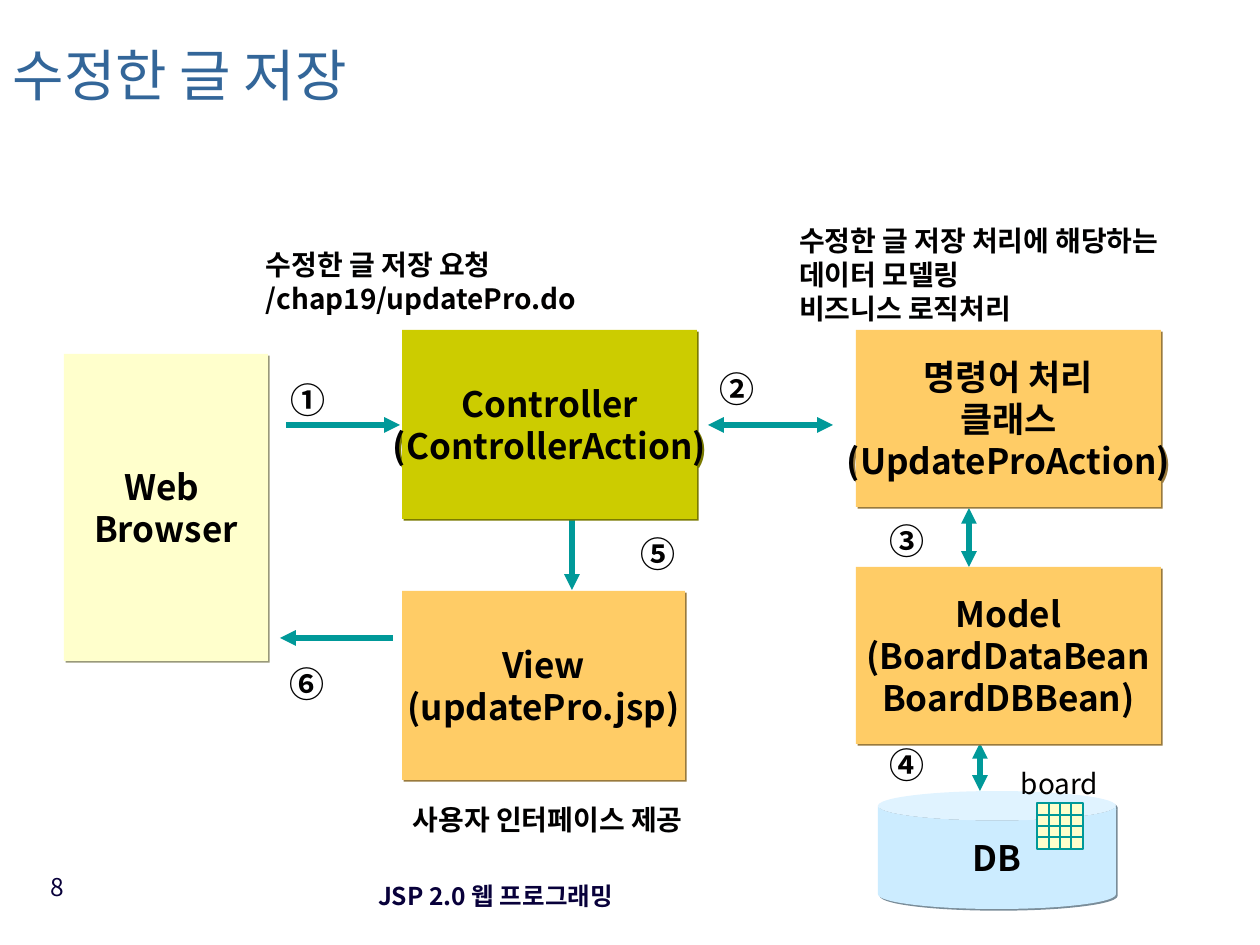
from lxml import etree
from pptx import Presentation
from pptx import util as u
from pptx.dml.color import RGBColor
from pptx.enum import shapes, text
from pptx.oxml import ns

SCALE = 914400 / 126
FONT = "Noto Sans CJK KR"
BLACK = RGBColor(0x01, 0x00, 0x00)
NAVY = RGBColor(0x08, 0x00, 0x3A)
BLUE = RGBColor(0x33, 0x66, 0x99)
TEAL = RGBColor(0x00, 0x99, 0x99)
CREAM = RGBColor(0xFF, 0xFF, 0xCC)
ORANGE = RGBColor(0xFF, 0xCC, 0x66)
OLIVE = RGBColor(0xCC, 0xCC, 0x00)
SKY = RGBColor(0xCC, 0xEC, 0xFF)
LEFT, CENTER, RIGHT = text.PP_ALIGN.LEFT, text.PP_ALIGN.CENTER, text.PP_ALIGN.RIGHT
MIDDLE = text.MSO_ANCHOR.MIDDLE
RECT, CAN = shapes.MSO_SHAPE.RECTANGLE, shapes.MSO_SHAPE.CAN


def px(*lengths):
    return [u.Emu(round(length * SCALE)) for length in lengths]


def add_child(parent, tag, **attributes):
    return etree.SubElement(parent, ns.qn(tag), attributes)


def write(frame, lines, size, color=BLACK, bold=True, align=LEFT):
    frame.text = "\n".join(lines)
    for para in frame.paragraphs:
        para.alignment = align
        font = para.font
        font.size, font.bold, font.name = u.Pt(size), bold, FONT
        font.color.rgb = color
        defaults = para._p.pPr.find(ns.qn("a:defRPr"))
        add_child(defaults, "a:ea", typeface=FONT)


def add_title(page, line, place):
    title = page.shapes.title
    title.left, title.top, title.width, title.height = px(*place)
    title.text_frame.vertical_anchor = MIDDLE
    write(title.text_frame, [line], 32, BLUE, False)
    title.text_frame.paragraphs[0].line_spacing = 0.7


def add_footer(page, line, place, bold, align, anchor):
    frame = page.shapes.add_textbox(*px(*place)).text_frame
    frame.word_wrap = True
    frame.vertical_anchor = anchor
    write(frame, [line], 14, NAVY, bold, align)


def add_label(page, lines, place, size=16, bold=True, align=LEFT):
    frame = page.shapes.add_textbox(*px(*place)).text_frame
    frame.margin_left = frame.margin_right = frame.margin_top = frame.margin_bottom = 0
    frame.word_wrap = True
    frame.auto_size = text.MSO_AUTO_SIZE.SHAPE_TO_FIT_TEXT
    write(frame, lines, size, bold=bold, align=align)


def add_shadow(box, fill):
    effects = add_child(box._element.spPr, "a:effectLst")
    shadow = add_child(effects, "a:outerShdw", dist="17780", dir="2700000",
                       algn="ctr", rotWithShape="0")
    shade = RGBColor(*(int(part * 0.6) for part in fill))
    add_child(shadow, "a:srgbClr", val=str(shade))


def add_block(page, lines, place, fill, kind=RECT):
    box = page.shapes.add_shape(kind, *px(*place))
    box.fill.solid()
    box.fill.fore_color.rgb = fill
    box.line.fill.background()
    add_shadow(box, fill)
    frame = box.text_frame
    frame.word_wrap = False
    frame.vertical_anchor = MIDDLE
    write(frame, lines, 20, align=CENTER)


def add_arrow(page, start, end, both=False):
    arrow = page.shapes.add_connector(shapes.MSO_CONNECTOR.STRAIGHT, *px(*start, *end))
    arrow.line.color.rgb = TEAL
    arrow.line.width = u.Pt(3)
    line = arrow.line._get_or_add_ln()
    if both:
        add_child(line, "a:headEnd", type="triangle")
    add_child(line, "a:tailEnd", type="triangle")
    add_child(arrow._element.spPr, "a:effectLst")


def add_cell_grid(page, left, top, side, count):
    edges = [round(step * side / count) for step in range(count + 1)]
    spans = list(zip(edges, edges[1:]))
    for upper, lower in spans:
        for start, end in spans:
            cell = page.shapes.add_shape(
                RECT, *px(left + start, top + upper, end - start, lower - upper))
            cell.shadow.inherit = False
            cell.fill.solid()
            cell.fill.fore_color.rgb = CREAM
            cell.line.color.rgb = TEAL
            cell.line.width = u.Pt(0.75)


def main():
    deck = Presentation()
    deck.slide_width, deck.slide_height = px(1260, 945)
    page = deck.slides.add_slide(deck.slide_layouts[5])
    add_title(page, "수정한 글 저장", (0, 26, 809, 113))
    add_footer(page, "JSP 2.0 웹 프로그래밍", (296, 864, 399, 63), True, CENTER, MIDDLE)
    add_footer(page, "8", (18, 866, 59, 66), False, RIGHT, text.MSO_ANCHOR.TOP)

    for start, end, both in (
        ((286, 425), (400, 425), False),
        ((393, 638), (280, 638), False),
        ((572, 508), (572, 590), False),
        ((708, 425), (833, 425), True),
        ((980, 743), (980, 791), True),
        ((969, 508), (969, 567), True),
    ):
        add_arrow(page, start, end, both)

    for lines, place, fill in (
        (["Web ", "Browser"], (64, 354, 204, 307), CREAM),
        (["View", "(updatePro.jsp)"], (402, 591, 283, 189), ORANGE),
        (["Controller", "(ControllerAction)"], (402, 330, 295, 189), OLIVE),
        (["명령어 처리", "클래스", "(UpdateProAction)"], (856, 330, 305, 177), ORANGE),
        (["Model", "(BoardDataBean", "BoardDBBean)"], (856, 567, 305, 177), ORANGE),
    ):
        add_block(page, lines, place, fill)
    add_block(page, ["DB"], (878, 791, 238, 118), SKY, CAN)

    for number, left, top in (
        ("①", 291, 378), ("②", 720, 367), ("③", 890, 519),
        ("④", 890, 743), ("⑤", 640, 532), ("⑥", 289, 662),
    ):
        add_label(page, [number], (left, top, 57, 42), 20)

    for lines, place in (
        (["수정한 글 저장 요청 /chap19/updatePro.do"], (266, 248, 329, 67)),
        (["수정한 글 저장 처리에 해당하는 데이터 모델링", "비즈니스 로직처리"],
         (799, 224, 397, 101)),
        (["사용자 인터페이스 제공"], (413, 803, 340, 34)),
    ):
        add_label(page, lines, place)

    add_cell_grid(page, 1037, 803, 46, 4)
    add_label(page, ["board"], (1014, 767, 91, 34), bold=False, align=CENTER)
    deck.save("out.pptx")


if __name__ == "__main__":
    main()
